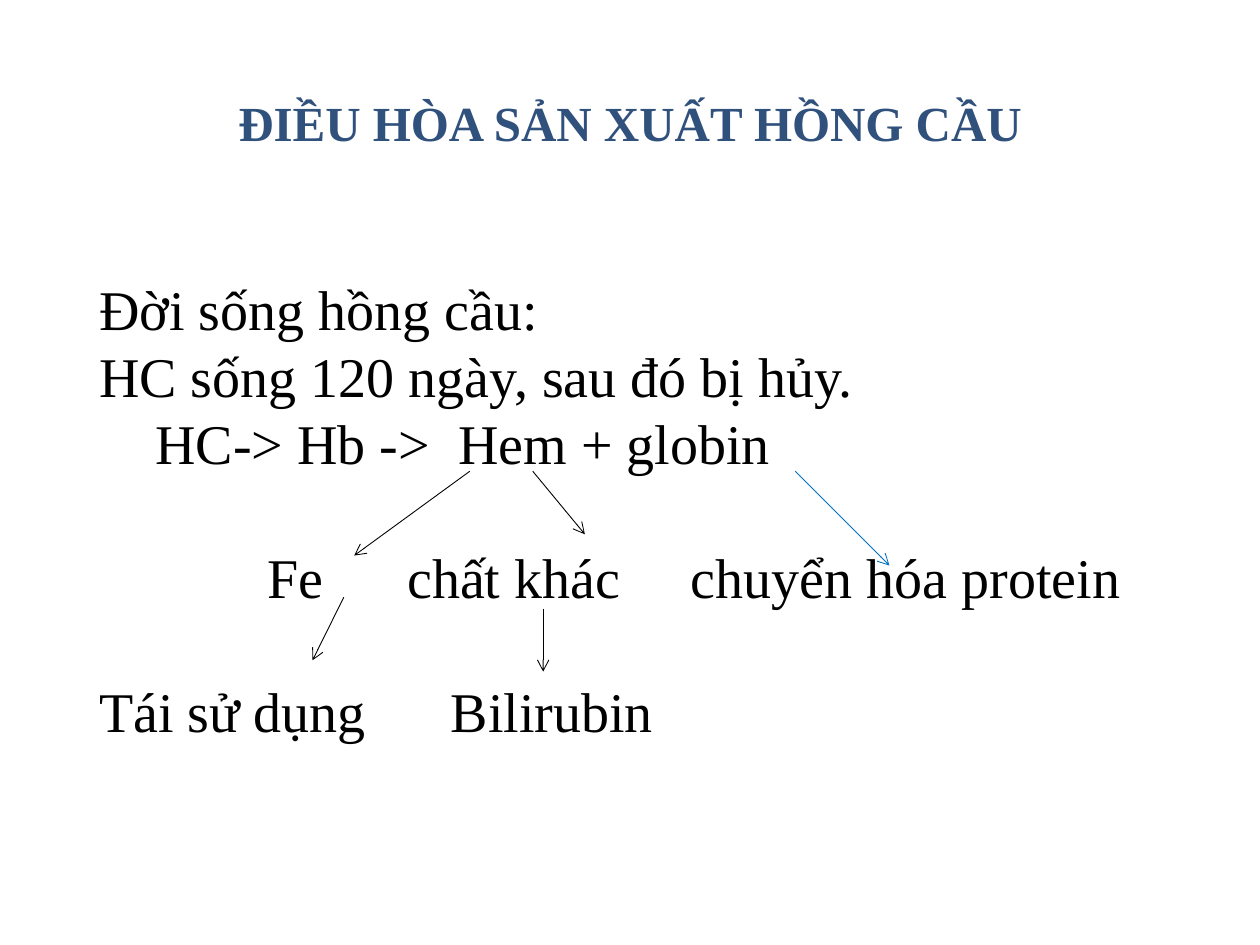
from dataclasses import dataclass

from lxml.etree import SubElement
from pptx import Presentation
from pptx.dml.color import RGBColor
from pptx.enum.shapes import MSO_CONNECTOR, MSO_SHAPE
from pptx.enum.text import MSO_ANCHOR, MSO_AUTO_SIZE, PP_ALIGN
from pptx.oxml.ns import qn
from pptx.util import Cm, Pt

NAVY = RGBColor(0x31, 0x51, 0x7D)
BLACK = RGBColor(0, 0, 0)
WHITE = RGBColor(0xFF, 0xFF, 0xFF)
BLUE = RGBColor(0x00, 0x70, 0xC0)
FONT = "Times New Roman"
LINE_HEIGHT = Pt(38.3)


@dataclass
class TextLine:
    text: str
    tabs: tuple[float, ...] = ()  # centimetres from the text edge
    gap_before: bool = False


@dataclass
class Arrow:
    start: tuple[float, float]  # centimetres
    end: tuple[float, float]
    color: RGBColor = BLACK


LINES = [
    TextLine("Đời sống hồng cầu:"),
    TextLine("HC sống 120 ngày, sau đó bị hủy."),
    TextLine("\tHC-> Hb ->\tHem + globin", (1.13, 7.24)),
    TextLine("\tFe\tchất khác\tchuyển hóa protein", (3.39, 6.21, 11.93), True),
    TextLine("Tái sử dụng\tBilirubin", (7.09,), True),
]

ARROWS = [
    Arrow((9.47, 9.5), (7.14, 11.2)),  # Hem to Fe
    Arrow((16.03, 9.5), (17.93, 11.4), BLUE),  # globin to protein
    Arrow((10.74, 9.5), (11.79, 10.77)),  # Hem to other substances
    Arrow((6.93, 12.04), (6.3, 13.31)),  # Fe to reuse
    Arrow((10.95, 12.27), (10.95, 13.54)),  # other substances to bilirubin
]


def format_runs(paragraph, size: float, color: RGBColor, bold: bool = False) -> None:
    for run in paragraph.runs:
        run.font.name = FONT
        run.font.size = Pt(size)
        run.font.bold = bold
        run.font.color.rgb = color


def write_line(paragraph, line: TextLine) -> None:
    paragraph.text = line.text
    if line.tabs:
        tab_list = SubElement(paragraph._p.get_or_add_pPr(), qn("a:tabLst"))
        for position in line.tabs:
            SubElement(tab_list, qn("a:tab"), pos=str(Cm(position)), algn="l")
    paragraph.alignment = PP_ALIGN.LEFT
    paragraph.line_spacing = LINE_HEIGHT
    if line.gap_before:
        paragraph.space_before = LINE_HEIGHT
    format_runs(paragraph, 32, BLACK)


def draw_arrow(slide, arrow: Arrow) -> None:
    points = [Cm(value) for value in arrow.start + arrow.end]
    connector = slide.shapes.add_connector(MSO_CONNECTOR.STRAIGHT, *points)
    connector.line.color.rgb = arrow.color
    connector.line.width = Pt(0.5)
    SubElement(connector.line._get_or_add_ln(), qn("a:tailEnd"), type="arrow")
    SubElement(connector._element.spPr, qn("a:effectLst"))


def main() -> None:
    presentation = Presentation()
    presentation.slide_width, presentation.slide_height = Cm(25.4), Cm(19.05)
    slide = presentation.slides.add_slide(presentation.slide_layouts[5])

    # Title
    title = slide.shapes.title
    title.left, title.top, title.width, title.height = Cm(0), Cm(1.19), Cm(25.4), Cm(1.98)
    title.text_frame.text = "ĐIỀU HÒA SẢN XUẤT HỒNG CẦU"
    title.text_frame.auto_size = MSO_AUTO_SIZE.NONE
    title.text_frame.vertical_anchor = MSO_ANCHOR.BOTTOM
    title.text_frame.paragraphs[0].alignment = PP_ALIGN.CENTER
    format_runs(title.text_frame.paragraphs[0], 28, NAVY, bold=True)

    # Life of the red blood cell
    body = slide.shapes.add_shape(MSO_SHAPE.RECTANGLE, Cm(1.75), Cm(4.52), Cm(22), Cm(12.8))
    body.shadow.inherit = False
    body.fill.solid()
    body.fill.fore_color.rgb = WHITE
    body.line.color.rgb = WHITE
    body.line.width = Pt(1)
    text_frame = body.text_frame
    text_frame.word_wrap = True
    text_frame.vertical_anchor = MSO_ANCHOR.TOP
    text_frame.margin_top = Cm(1.02)
    for index, line in enumerate(LINES):
        paragraph = text_frame.add_paragraph() if index else text_frame.paragraphs[0]
        write_line(paragraph, line)

    # Breakdown arrows
    for arrow in ARROWS:
        draw_arrow(slide, arrow)

    presentation.save("out.pptx")


if __name__ == "__main__":
    main()
